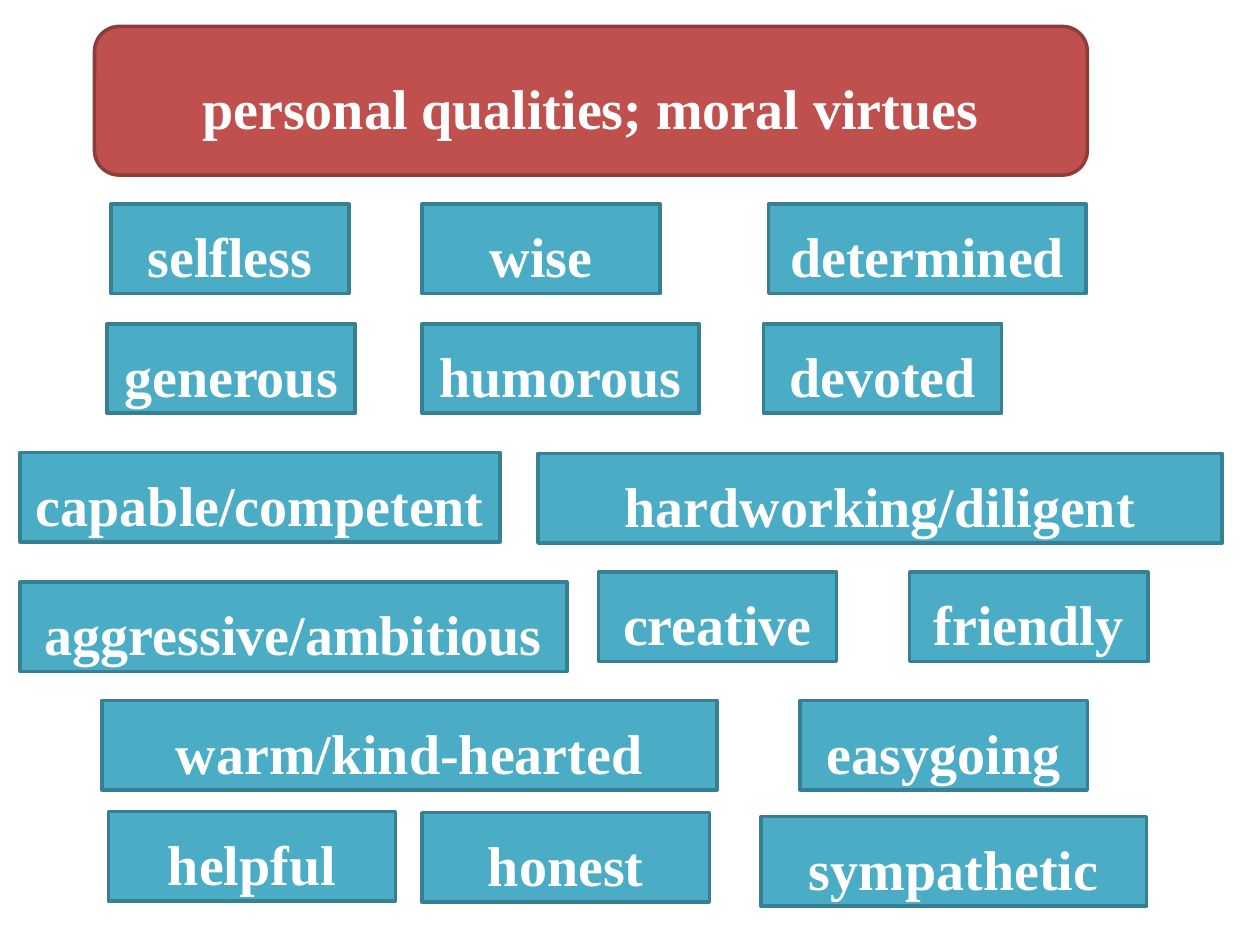
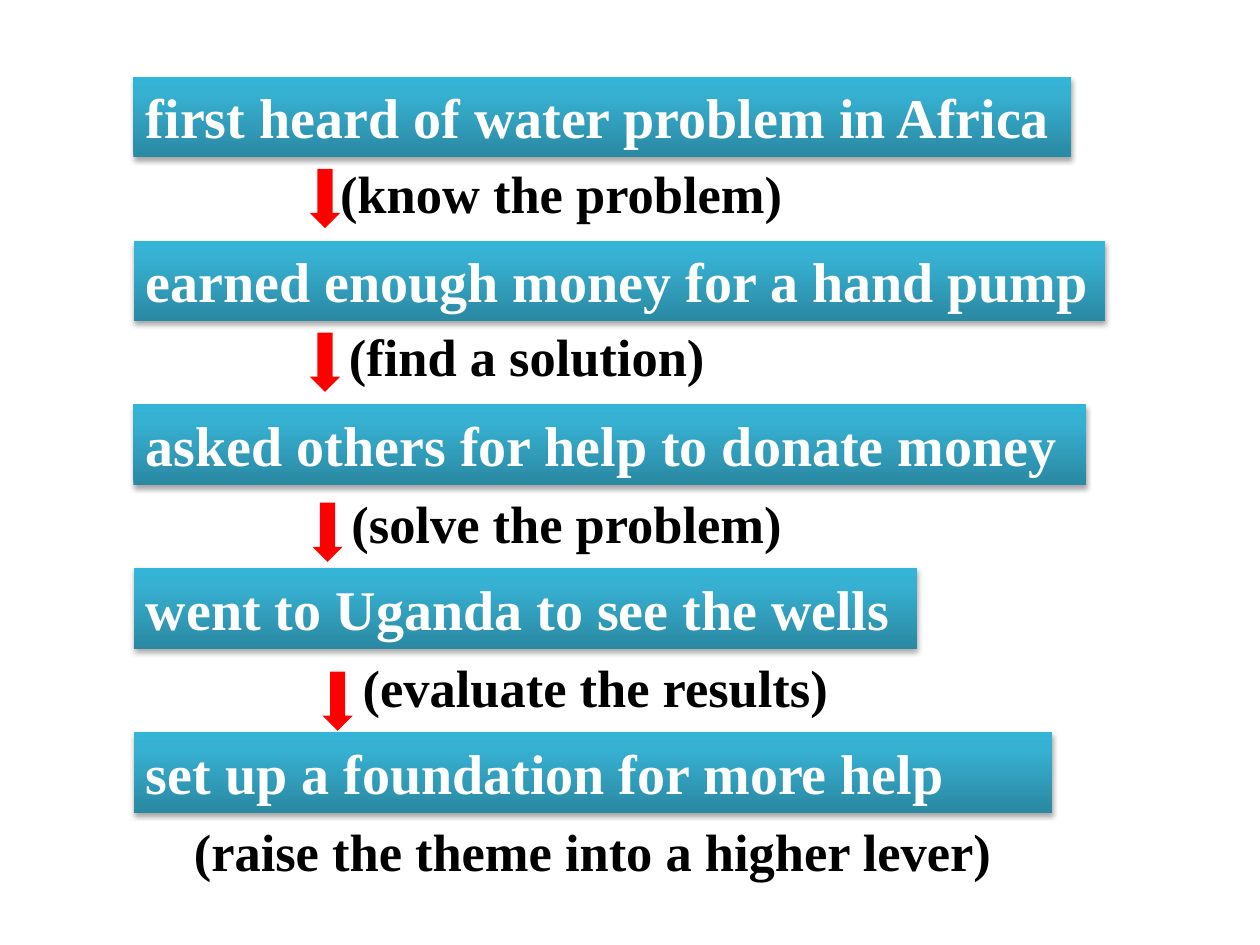
from copy import deepcopy

from lxml import etree
from pptx import Presentation
from pptx.dml.color import RGBColor
from pptx.enum.shapes import MSO_SHAPE
from pptx.enum.text import MSO_ANCHOR, MSO_AUTO_SIZE, PP_ALIGN
from pptx.oxml.ns import qn
from pptx.util import Pt

RECTANGLE = MSO_SHAPE.RECTANGLE
ROUNDED = MSO_SHAPE.ROUNDED_RECTANGLE
DOWN_ARROW = MSO_SHAPE.DOWN_ARROW
MIDDLE, TOP = MSO_ANCHOR.MIDDLE, MSO_ANCHOR.TOP
CENTER, LEFT = PP_ALIGN.CENTER, PP_ALIGN.LEFT
FIT_SHAPE = MSO_AUTO_SIZE.SHAPE_TO_FIT_TEXT

EMU_PER_PX = 9144
SLIDE_SIZE = (1000, 750)
FONT = "Times New Roman"
COLORS = {
    "white": "FFFFFF", "black": "000000",
    "title": "C0504D", "title_line": "8E3B39",
    "quality": "4BACC6", "quality_line": "377F92",
    "arrow": "FF0000",
}
BAND_GRADIENT = [(0, "2A88A2"), (0.8, "37B1D2"), (1, "34B4D6")]

TITLE = ("personal qualities; moral virtues", (75, 21, 788, 118))
QUALITY_HEIGHT = 71
QUALITIES = [
    ("selfless", 88, 162, 189),
    ("wise", 335, 162, 189),
    ("determined", 610, 162, 252),
    ("generous", 85, 257, 197),
    ("humorous", 335, 257, 220),
    ("devoted", 606, 257, 189),
    ("capable/competent", 16, 359, 381),
    ("hardworking/diligent", 427, 360, 543),
    ("aggressive/ambitious", 16, 462, 434),
    ("creative", 475, 454, 189),
    ("friendly", 722, 454, 189),
    ("warm/kind-hearted", 81, 556, 488),
    ("easygoing", 635, 556, 228),
    ("helpful", 86, 644, 228),
    ("honest", 335, 645, 228),
    ("sympathetic", 604, 648, 306),
]

BAND_LEFT, BAND_TOP, BAND_STEP, BAND_HEIGHT = 106, 61, 130, 64
STEPS = [
    ("first heard of water problem in Africa", 744),
    ("earned enough money for a hand pump", 771),
    ("asked others for help to donate money", 756),
    ("went to Uganda to see the wells", 622),
    ("set up a foundation for more help", 729),
]
ARROW_SIZE = (24, 47)
ARROWS = [(246, 134), (246, 264), (248, 399), (256, 533)]
LABEL_HEIGHT = 61
LABELS = [
    ("(know the problem)", 260, 123, 375),
    ("(find a solution)", 267, 252, 305),
    ("(solve the problem)", 269, 385, 365),
    ("(evaluate the results)", 278, 515, 394),
    ("(raise the theme into a higher lever)", 144, 645, 660),
]


def emu(lengths):
    return [length * EMU_PER_PX for length in lengths]


def rgb(name):
    return RGBColor.from_string(COLORS[name])


def write(shape, text, size, color, align, anchor, spacing=None):
    text_frame = shape.text_frame
    text_frame.text = text
    text_frame.word_wrap = True
    text_frame.vertical_anchor = anchor
    paragraph = text_frame.paragraphs[0]
    paragraph.alignment = align
    paragraph.line_spacing = spacing
    font = paragraph.runs[0].font
    font.name, font.size, font.bold = FONT, Pt(size), True
    font.color.rgb = rgb(color)


def add_shape(slide, kind, box, fill=None, line=None):
    shape = slide.shapes.add_shape(kind, *emu(box))
    shape.shadow.inherit = False
    if fill:
        shape.fill.solid()
        shape.fill.fore_color.rgb = rgb(fill)
    if line:
        shape.line.color.rgb = rgb(line)
        shape.line.width = Pt(2)
    else:
        shape.line.fill.background()
    return shape


def add_card(slide, kind, text, box, style):
    card = add_shape(slide, kind, box, style, style + "_line")
    write(card, text, 32, "white", CENTER, MIDDLE, 1.2)


def fill_band(band):
    band.fill.gradient()
    band.fill.gradient_angle = 90
    stop_list = band.element.spPr.find(".//" + qn("a:gsLst"))
    stop_list.append(deepcopy(stop_list[0]))
    for stop, (position, color) in zip(band.fill.gradient_stops, BAND_GRADIENT):
        stop.position = position
        stop.color.rgb = RGBColor.from_string(color)


def add_band_shadow(band):
    effects = band.element.spPr.find(qn("a:effectLst"))
    shadow = etree.SubElement(
        effects, qn("a:outerShdw"), blurRad=str(Pt(3.1)), dist=str(Pt(1.8)),
        dir="5400000", rotWithShape="0")
    color = etree.SubElement(shadow, qn("a:srgbClr"), val=COLORS["black"])
    etree.SubElement(color, qn("a:alpha"), val="35000")


def add_band(slide, index, text, width):
    top = BAND_TOP + index * BAND_STEP
    band = add_shape(slide, RECTANGLE, (BAND_LEFT, top, width, BAND_HEIGHT))
    fill_band(band)
    add_band_shadow(band)
    write(band, text, 32, "white", LEFT, TOP)
    band.text_frame.auto_size = FIT_SHAPE


def add_label(slide, text, left, top, width):
    label = slide.shapes.add_textbox(*emu((left, top, width, LABEL_HEIGHT)))
    write(label, text, 30, "black", LEFT, TOP)
    label.text_frame.word_wrap = False
    label.text_frame.auto_size = FIT_SHAPE


def build_qualities(slide):
    add_card(slide, ROUNDED, *TITLE, "title")
    for text, left, top, width in QUALITIES:
        add_card(slide, RECTANGLE, text, (left, top, width, QUALITY_HEIGHT), "quality")


def build_steps(slide):
    for index, (text, width) in enumerate(STEPS):
        add_band(slide, index, text, width)
    for position in ARROWS:
        add_shape(slide, DOWN_ARROW, position + ARROW_SIZE, "arrow")
    for label in LABELS:
        add_label(slide, *label)


def main():
    presentation = Presentation()
    presentation.slide_width, presentation.slide_height = emu(SLIDE_SIZE)
    blank = presentation.slide_layouts[6]
    for build in (build_qualities, build_steps):
        build(presentation.slides.add_slide(blank))
    presentation.save("out.pptx")


if __name__ == "__main__":
    main()
